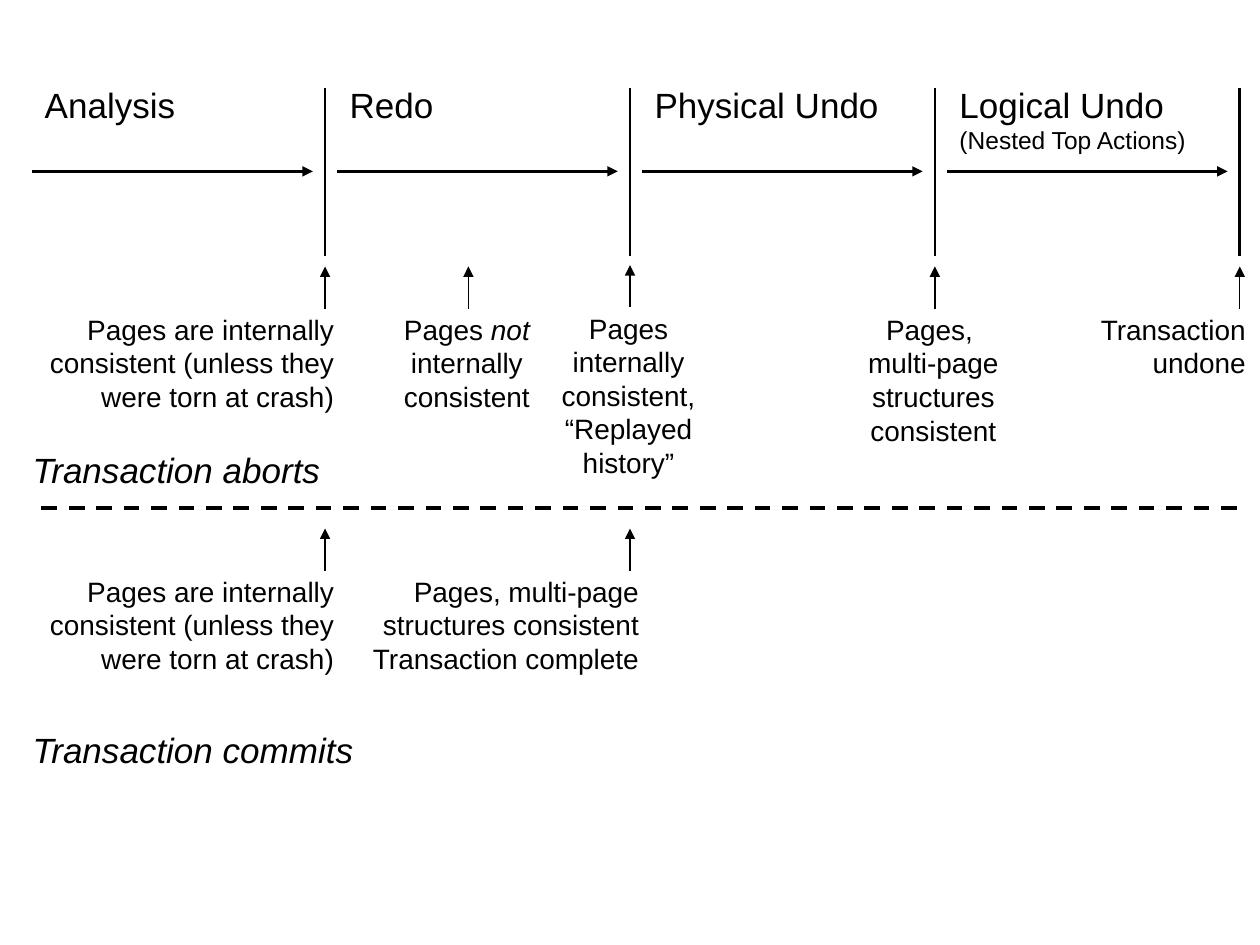
import dataclasses
import pptx
import pptx.dml.color
import pptx.enum.dml
import pptx.enum.shapes
import pptx.enum.text
import pptx.oxml
import pptx.oxml.ns
import pptx.util

ALIGN = pptx.enum.text.PP_ALIGN


@dataclasses.dataclass(frozen=True)
class Theme:
    font: str = "Arial"
    ink: str = "000000"
    paper: str = "FFFFFF"
    head: float = 20
    body: float = 16
    small: float = 14
    thin: float = 0.75
    mid: float = 1.5
    thick: float = 2.25
    left: float = 0.16
    col: float = 2.42
    row: float = 0.1


class Board:
    def __init__(self, deck, theme):
        self.theme = theme
        self.slide = deck.slides.add_slide(deck.slide_layouts[6])
        fill = self.slide.background.fill
        fill.solid()
        fill.fore_color.rgb = self.color(theme.paper)

    def color(self, code):
        return pptx.dml.color.RGBColor.from_string(code)

    def wide(self, cols):
        return pptx.util.Inches(cols * self.theme.col)

    def high(self, rows):
        return pptx.util.Inches(rows * self.theme.row)

    def edge(self, col):
        return pptx.util.Inches(self.theme.left) + self.wide(col)

    def line(self, start, end, width, arrow=False, dash=None):
        link = self.slide.shapes.add_connector(
            pptx.enum.shapes.MSO_CONNECTOR.STRAIGHT,
            self.edge(start[0]), self.high(start[1]),
            self.edge(end[0]), self.high(end[1]))
        link.line.color.rgb = self.color(self.theme.ink)
        style = {"width": pptx.util.Pt(width), "dash_style": dash}
        for name, value in style.items():
            setattr(link.line, name, value)
        props = link.element.spPr
        if arrow:
            tip = pptx.oxml.ns.qn("a:tailEnd")
            stroke = props.find(pptx.oxml.ns.qn("a:ln"))
            stroke.append(stroke.makeelement(tip, {"type": "triangle"}))
        props.append(props.makeelement(pptx.oxml.ns.qn("a:effectLst"), {}))

    def tick(self, col, row):
        self.line((col, row), (col, row - 3.35), self.theme.thin, arrow=True)

    def text(self, col, row, cols, rows, paras, size, align=ALIGN.LEFT, wrap=True):
        box = self.slide.shapes.add_textbox(
            self.edge(col), self.high(row), self.wide(cols), self.high(rows))
        frame = box.text_frame
        style = {"word_wrap": wrap,
                 "auto_size": pptx.enum.text.MSO_AUTO_SIZE.SHAPE_TO_FIT_TEXT}
        for name, value in style.items():
            setattr(frame, name, value)
        for spot, runs in enumerate(paras):
            para = frame.add_paragraph() if spot else frame.paragraphs[0]
            para.alignment = align
            for words, change in runs:
                run = para.add_run()
                run.text = words
                run.font.color.rgb = self.color(self.theme.ink)
                look = {"name": self.theme.font, "size": pptx.util.Pt(size), **change}
                for name, value in look.items():
                    setattr(run.font, name, value)


def main():
    deck = pptx.Presentation()
    deck.slide_width = pptx.util.Inches(10)
    deck.slide_height = pptx.util.Inches(7.5)
    theme = Theme()
    board = Board(deck, theme)
    small = {"size": pptx.util.Pt(theme.small)}
    slant = {"italic": True}

    phases = [
        [[("Analysis", {})]],
        [[("Redo", {})]],
        [[("Physical Undo", {})]],
        [[("Logical Undo", {})], [("(Nested Top Actions)", small)]],
    ]
    for col, paras in enumerate(phases):
        board.line((col + 1, 7), (col + 1, 20.3), theme.mid)
        board.line((col + 0.04, 13.6), (col + 0.96, 13.6), theme.mid, arrow=True)
        board.text(col + 0.04, 6.1, 0.9, 2.1 + 2.3 * len(paras), paras, theme.head)

    torn = [[("Pages are internally consistent (unless they were torn at crash)", {})]]
    mixed = [[("Pages ", {}), ("not ", slant), ("internally consistent", {})]]
    replay = [[("Pages internally consistent, “Replayed history”", {})]]
    whole = [[("Pages, ", {})], [("multi-page structures consistent", {})]]
    undone = [[("Transaction undone", {})]]
    done = [[("Pages, multi-page structures consistent Transaction complete", {})]]
    notes = [
        (1, -0.06, 24.3, 1.13, 9, torn, ALIGN.RIGHT),
        (1.47, 1.17, 24.3, 0.59, 9, mixed, ALIGN.CENTER),
        (2, 1.7, 24.2, 0.59, 14.4, replay, ALIGN.CENTER),
        (3, 2.65, 24.3, 0.69, 11.7, whole, ALIGN.CENTER),
        (4, 3.31, 24.3, 0.75, 6.4, undone, ALIGN.RIGHT),
        (1, 0, 45.1, 1.07, 9, torn, ALIGN.RIGHT),
        (2, 1.07, 45.1, 1, 9, done, ALIGN.RIGHT),
    ]
    for mark, col, row, cols, rows, paras, align in notes:
        board.tick(mark, row + 0.2)
        board.text(col, row, cols, rows, paras, theme.body, align)

    board.line((0.07, 40.3), (4, 40.3), theme.thick,
               dash=pptx.enum.dml.MSO_LINE.DASH)
    for words, row, cols in [("Transaction aborts", 35.1, 1.03),
                             ("Transaction commits", 57.3, 1.14)]:
        board.text(0, row, cols, 4.4, [[(words, slant)]], theme.head, wrap=False)

    deck.save("out.pptx")


if __name__ == "__main__":
    main()
